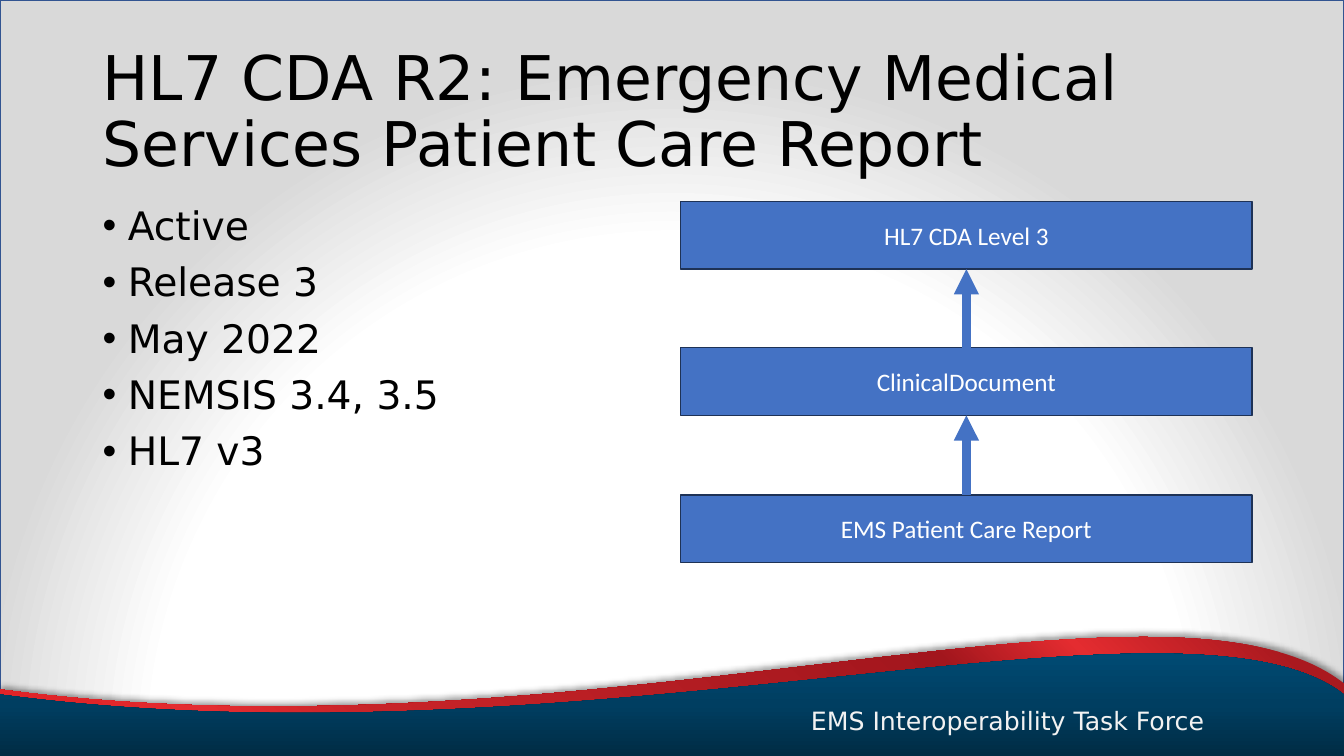
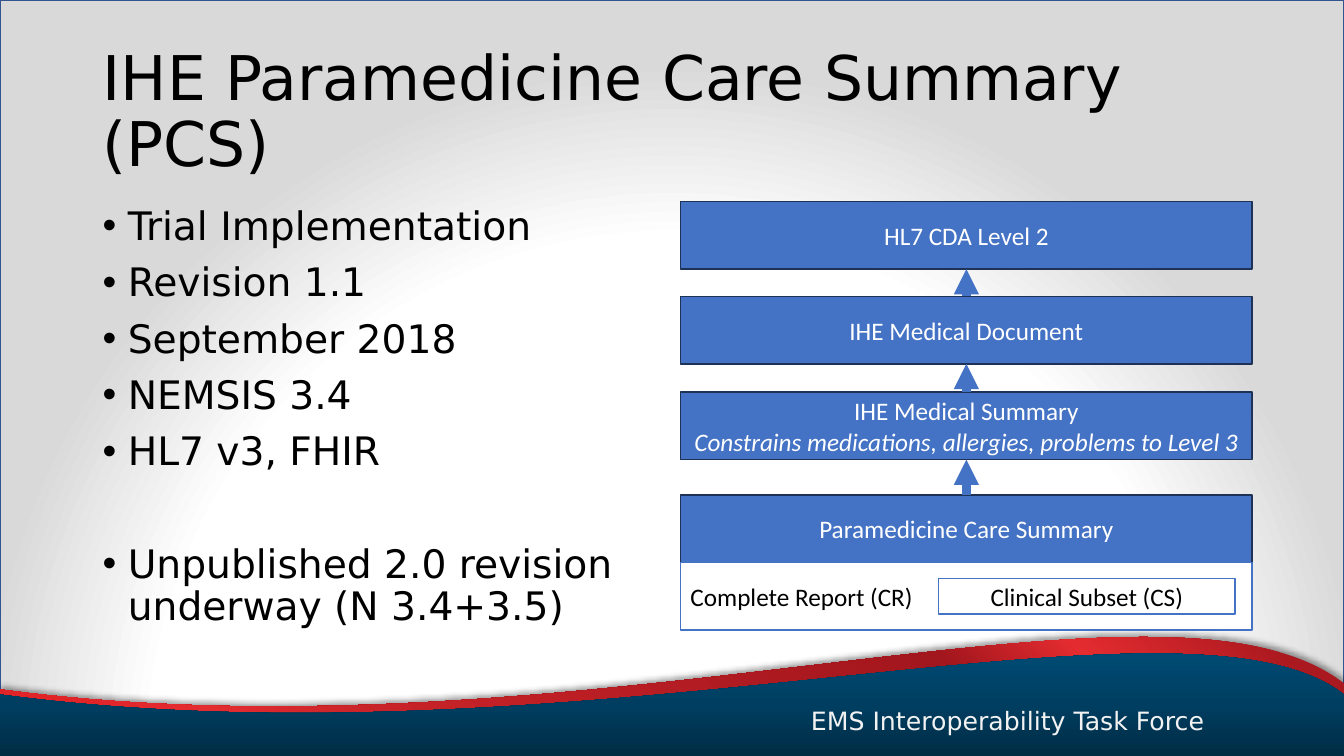
from dataclasses import dataclass
from itertools import pairwise

import pptx
import pptx.dml.color
import pptx.enum.shapes
import pptx.enum.text
import pptx.oxml.ns
import pptx.presentation
import pptx.shapes.autoshape
import pptx.slide
import pptx.text.text
import pptx.util
from lxml import etree
from pptx.dml.color import RGBColor
from pptx.enum.text import MSO_ANCHOR, PP_ALIGN
from pptx.oxml.ns import qn
from pptx.util import Inches, Pt

RECTANGLE = pptx.enum.shapes.MSO_SHAPE.RECTANGLE
STRAIGHT = pptx.enum.shapes.MSO_CONNECTOR.STRAIGHT

WHITE = RGBColor(0xFF, 0xFF, 0xFF)
BLACK = RGBColor(0, 0, 0)
GREY = RGBColor(0xD9, 0xD9, 0xD9)
FOOTER_GREY = RGBColor(0xF2, 0xF2, 0xF2)
FRAME_BLUE = RGBColor(0x32, 0x54, 0x91)
BLUE = RGBColor(0x44, 0x72, 0xC4)
DARK_BLUE = RGBColor(0x1E, 0x32, 0x56)
NAVY_LOW = RGBColor(0x00, 0x2C, 0x44)
NAVY_MID = RGBColor(0x00, 0x3E, 0x61)
NAVY_HIGH = RGBColor(0x00, 0x4A, 0x73)
RED = RGBColor(0xE0, 0x24, 0x28)
BRIGHT_RED = RGBColor(0xE4, 0x2C, 0x30)
MID_RED = RGBColor(0xC7, 0x23, 0x28)
DEEP_RED = RGBColor(0xA2, 0x16, 0x1D)
END_RED = RGBColor(0xAA, 0x19, 0x1F)

HEADING_FONT = "DejaVu Sans"
DIAGRAM_FONT = "Calibri"
FOOTER = "EMS Interoperability Task Force"

SLIDE_WIDTH = 13.33
SLIDE_HEIGHT = 7.5
LAYER_LEFT = 6.75
LAYER_WIDTH = 5.67
LAYER_HEIGHT = 0.67

Point = tuple[float, float]


@dataclass(frozen=True)
class Box:
    left: float
    top: float
    width: float
    height: float

    def lengths(self) -> tuple[int, int, int, int]:
        return Inches(self.left), Inches(self.top), Inches(self.width), Inches(self.height)


@dataclass(frozen=True)
class Gradient:
    stops: tuple[tuple[int, RGBColor], ...]
    focus: tuple[int, int, int, int] | None = None
    angle: int = 0


@dataclass(frozen=True)
class Wave:
    curve: tuple[Point, Point, Point, Point]
    top: float
    bottom: float
    gradient: Gradient
    shadowed: bool = False


@dataclass(frozen=True)
class Layer:
    top: float
    name: str
    note: str = ""


@dataclass(frozen=True)
class Standard:
    title: str
    facts: tuple[str, ...]
    layers: tuple[Layer, ...]
    outlook: str = ""
    variants: tuple[str, ...] = ()


BACKDROP = Gradient(((67, WHITE), (90, GREY)), focus=(50, 130, 50, -30))
WAVES = (
    Wave(
        ((0, 6.84), (5.8, 7.61), (11.58, 5.41), (SLIDE_WIDTH, 6.78)),
        6.32,
        7.45,
        Gradient(
            ((8, RED), (17, BRIGHT_RED), (29, MID_RED), (71, DEEP_RED), (81, BRIGHT_RED), (95, END_RED)),
            focus=(0, 100, 100, 0),
        ),
        shadowed=True,
    ),
    Wave(
        ((0, 6.89), (5.8, 7.66), (11.76, 5.67), (SLIDE_WIDTH, 6.89)),
        6.48,
        SLIDE_HEIGHT,
        Gradient(((0, NAVY_LOW), (50, NAVY_MID), (100, NAVY_HIGH)), angle=270),
    ),
)

STANDARDS = (
    Standard(
        "HL7 CDA R2: Emergency Medical Services Patient Care Report",
        ("Active", "Release 3", "May 2022", "NEMSIS 3.4, 3.5", "HL7 v3"),
        (
            Layer(2, "HL7 CDA Level 3"),
            Layer(3.45, "ClinicalDocument"),
            Layer(4.91, "EMS Patient Care Report"),
        ),
    ),
    Standard(
        "IHE Paramedicine Care Summary (PCS)",
        ("Trial Implementation", "Revision 1.1", "September 2018", "NEMSIS 3.4", "HL7 v3, FHIR"),
        (
            Layer(2, "HL7 CDA Level 2"),
            Layer(2.94, "IHE Medical Document"),
            Layer(3.89, "IHE Medical Summary", "Constrains medications, allergies, problems to Level 3"),
            Layer(4.91, "Paramedicine Care Summary"),
        ),
        outlook="Unpublished 2.0 revision underway (N 3.4+3.5)",
        variants=("Complete Report (CR)", "Clinical Subset (CS)"),
    ),
)


def add_color(parent: etree._Element, color: RGBColor) -> etree._Element:
    return etree.SubElement(parent, qn("a:srgbClr"), val=str(color))


def fill_gradient(shape: pptx.shapes.autoshape.Shape, gradient: Gradient) -> None:
    shape.fill.gradient()
    grad_fill = shape._element.spPr.find(qn("a:gradFill"))
    for child in list(grad_fill):
        grad_fill.remove(child)
    stop_list = etree.SubElement(grad_fill, qn("a:gsLst"))
    for position, color in gradient.stops:
        add_color(etree.SubElement(stop_list, qn("a:gs"), pos=str(position * 1000)), color)
    if gradient.focus is None:
        etree.SubElement(grad_fill, qn("a:lin"), ang=str(gradient.angle * 60000), scaled="0")
    else:
        circle = etree.SubElement(grad_fill, qn("a:path"), path="circle")
        edges = {side: str(share * 1000) for side, share in zip("ltrb", gradient.focus)}
        etree.SubElement(circle, qn("a:fillToRect"), **edges)


def bend_top_edge(band: pptx.shapes.autoshape.Shape, wave: Wave) -> None:
    outline = next(band._element.spPr.iter(qn("a:path")))
    start, top_edge = outline[0], outline[1]
    start[0].set("y", str(Inches(wave.curve[0][1] - wave.top)))
    crest = etree.Element(qn("a:cubicBezTo"))
    for x, y in wave.curve[1:]:
        etree.SubElement(crest, qn("a:pt"), x=str(Inches(x)), y=str(Inches(y - wave.top)))
    outline.replace(top_edge, crest)


def add_wave(slide: pptx.slide.Slide, wave: Wave) -> None:
    right, top, bottom = Inches(SLIDE_WIDTH), Inches(wave.top), Inches(wave.bottom)
    builder = slide.shapes.build_freeform(0, top)
    builder.add_line_segments([(right, top), (right, bottom), (0, bottom)], close=True)
    band = builder.convert_to_shape()
    bend_top_edge(band, wave)
    fill_gradient(band, wave.gradient)
    band.line.fill.background()
    band.shadow.inherit = False
    if wave.shadowed:
        effects = band._element.spPr.find(qn("a:effectLst"))
        shadow = etree.SubElement(
            effects, qn("a:outerShdw"), blurRad=str(Pt(4)), dist=str(Pt(3)), dir=str(270 * 60000), rotWithShape="0"
        )
        etree.SubElement(add_color(shadow, BLACK), qn("a:alpha"), val="40000")


def style_paragraph(
    paragraph: pptx.text.text._Paragraph, font_name: str, size: int, color: RGBColor, align: PP_ALIGN
) -> None:
    paragraph.alignment = align
    for run in paragraph.runs:
        run.font.name = font_name
        run.font.size = Pt(size)
        run.font.color.rgb = color


def add_text(
    slide: pptx.slide.Slide,
    box: Box,
    lines: tuple[str, ...],
    size: int,
    color: RGBColor = BLACK,
    align: PP_ALIGN = PP_ALIGN.LEFT,
    anchor: MSO_ANCHOR = MSO_ANCHOR.MIDDLE,
    line_spacing: float = 0.9,
) -> pptx.text.text.TextFrame:
    frame = slide.shapes.add_textbox(*box.lengths()).text_frame
    frame.word_wrap = True
    frame.vertical_anchor = anchor
    frame.text = "\n".join(lines)
    for paragraph in frame.paragraphs:
        style_paragraph(paragraph, HEADING_FONT, size, color, align)
        paragraph.line_spacing = line_spacing
    return frame


def add_facts(slide: pptx.slide.Slide, standard: Standard) -> None:
    lines = standard.facts + ((standard.outlook,) if standard.outlook else ())
    frame = add_text(slide, Box(0.92, 2, 5.67, 4.76), lines, 28, anchor=MSO_ANCHOR.TOP)
    for paragraph in frame.paragraphs:
        paragraph.space_before = Pt(10)
        properties = paragraph._p.get_or_add_pPr()
        properties.set("marL", str(Inches(0.25)))
        properties.set("indent", str(-Inches(0.25)))
        etree.SubElement(properties, qn("a:buFont"), typeface="Arial")
        etree.SubElement(properties, qn("a:buChar"), char="•")
    if standard.outlook:
        frame.paragraphs[-1].space_before = Pt(50)


def add_panel(
    slide: pptx.slide.Slide,
    box: Box,
    text: str = "",
    fill: RGBColor = BLUE,
    outline: RGBColor = DARK_BLUE,
    color: RGBColor = WHITE,
    align: PP_ALIGN = PP_ALIGN.CENTER,
) -> pptx.shapes.autoshape.Shape:
    panel = slide.shapes.add_shape(RECTANGLE, *box.lengths())
    panel.shadow.inherit = False
    panel.fill.solid()
    panel.fill.fore_color.rgb = fill
    panel.line.color.rgb = outline
    panel.line.width = Pt(1)
    frame = panel.text_frame
    frame.word_wrap = True
    frame.vertical_anchor = MSO_ANCHOR.MIDDLE
    frame.text = text
    for paragraph in frame.paragraphs:
        style_paragraph(paragraph, DIAGRAM_FONT, 18, color, align)
    return panel


def add_layer(slide: pptx.slide.Slide, layer: Layer) -> pptx.shapes.autoshape.Shape:
    text = f"{layer.name}\n{layer.note}" if layer.note else layer.name
    panel = add_panel(slide, Box(LAYER_LEFT, layer.top, LAYER_WIDTH, LAYER_HEIGHT), text)
    for note in panel.text_frame.paragraphs[1:]:
        note.runs[0].font.italic = True
    return panel


def add_derivation(
    slide: pptx.slide.Slide, base: pptx.shapes.autoshape.Shape, derived: pptx.shapes.autoshape.Shape
) -> None:
    arrow = slide.shapes.add_connector(STRAIGHT, 0, 0, 0, 0)
    arrow.begin_connect(derived, 0)
    arrow.end_connect(base, 2)
    arrow.line.color.rgb = BLUE
    arrow.line.width = Pt(6)
    etree.SubElement(arrow.line._get_or_add_ln(), qn("a:tailEnd"), type="triangle")
    etree.SubElement(arrow._element.spPr, qn("a:effectLst"))


def add_variants(slide: pptx.slide.Slide, standard: Standard) -> None:
    complete, subset = standard.variants
    top = standard.layers[-1].top + LAYER_HEIGHT
    whole = Box(LAYER_LEFT, top, LAYER_WIDTH, LAYER_HEIGHT)
    part = Box(9.31, top + 0.16, 2.94, 0.35)
    add_panel(slide, whole, complete, WHITE, BLUE, BLACK, PP_ALIGN.LEFT)
    add_panel(slide, part, subset, WHITE, BLUE, BLACK)


def add_scenery(slide: pptx.slide.Slide) -> None:
    backdrop = add_panel(slide, Box(0, 0, SLIDE_WIDTH, SLIDE_HEIGHT), outline=FRAME_BLUE)
    fill_gradient(backdrop, BACKDROP)
    for wave in WAVES:
        add_wave(slide, wave)
    add_text(slide, Box(6.66, 6.82, 6.67, 0.65), (FOOTER,), 18, FOOTER_GREY, PP_ALIGN.CENTER, line_spacing=1.0)


def add_standard(deck: pptx.presentation.Presentation, standard: Standard) -> None:
    slide = deck.slides.add_slide(deck.slide_layouts[6])
    add_scenery(slide)
    add_text(slide, Box(0.92, 0.4, 11.5, 1.45), (standard.title,), 44)
    add_facts(slide, standard)
    panels = [add_layer(slide, layer) for layer in standard.layers]
    for base, derived in pairwise(panels):
        add_derivation(slide, base, derived)
    if standard.variants:
        add_variants(slide, standard)


def main() -> None:
    deck = pptx.Presentation()
    deck.slide_width = Inches(SLIDE_WIDTH)
    deck.slide_height = Inches(SLIDE_HEIGHT)
    for standard in STANDARDS:
        add_standard(deck, standard)
    deck.save("out.pptx")


if __name__ == "__main__":
    main()
